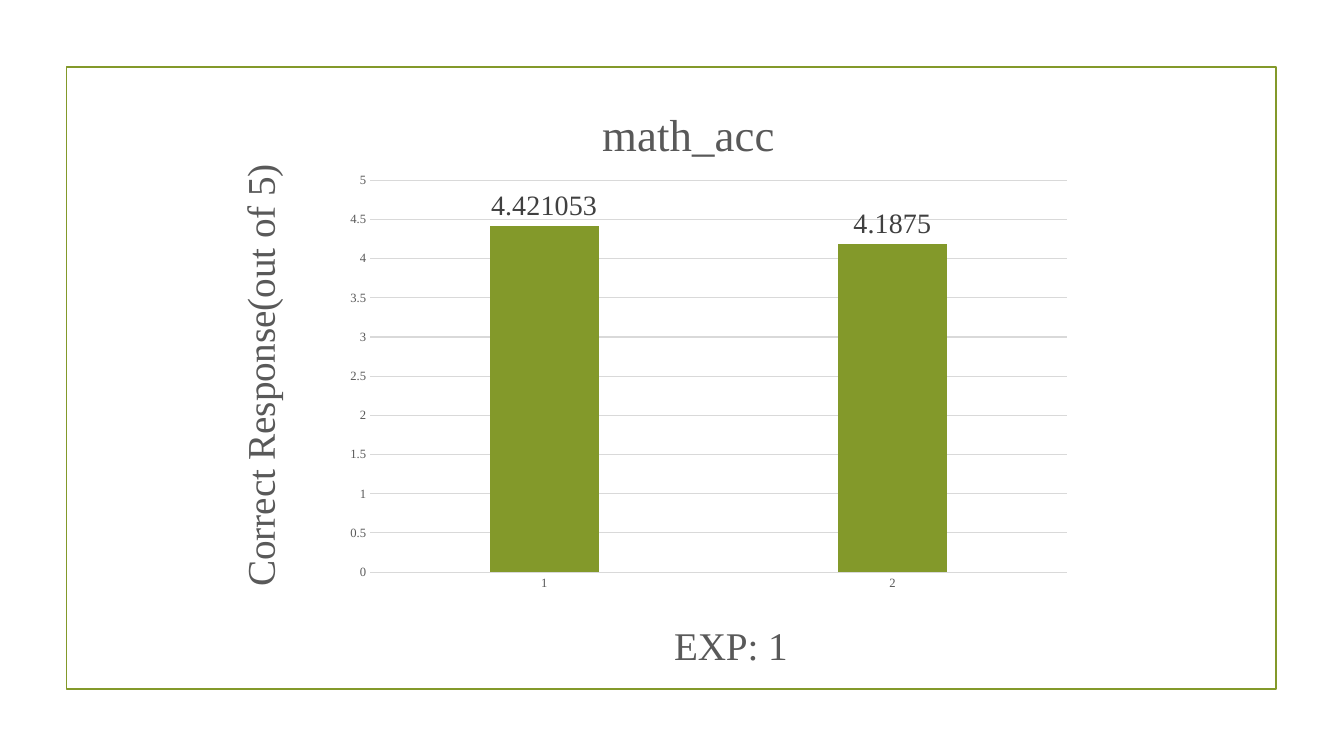
"""Build the slide with the math accuracy column chart."""
from lxml import etree
from pptx import Presentation
from pptx.chart.data import CategoryChartData
from pptx.dml.color import RGBColor
from pptx.enum import chart as kinds, shapes
from pptx.oxml import ns
from pptx.util import Pt

GREEN = RGBColor(0x83, 0x99, 0x2A)
GREY = RGBColor(0x59, 0x59, 0x59)
DARK = RGBColor(0x40, 0x40, 0x40)
PALE = RGBColor(0xD9, 0xD9, 0xD9)
BLACK = RGBColor(0, 0, 0)
FONT = "Times New Roman"


def style(font, size, color):
    for key, value in {"name": FONT, "size": Pt(size), "bold": False}.items():
        setattr(font, key, value)
    font.color.rgb = color


def place(element, index, settings):
    for old in element.findall(ns.qn("c:layout")):
        element.remove(old)
    layout = etree.Element(ns.qn("c:layout"))
    manual = etree.SubElement(layout, ns.qn("c:manualLayout"))
    for key, value in settings.items():
        etree.SubElement(manual, ns.qn(f"c:{key}")).set("val", str(value))
    element.insert(index, layout)


deck = Presentation()
deck.slide_width, deck.slide_height = Pt(960), Pt(540)
slide = deck.slides.add_slide(deck.slide_layouts[6])

frame = slide.shapes.add_shape(
    shapes.MSO_SHAPE.RECTANGLE, Pt(47.5), Pt(48), Pt(864), Pt(444.2))
frame.shadow.inherit = False
frame.fill.background()
frame.line.color.rgb = GREEN
frame.line.width = Pt(1.25)

scores = CategoryChartData()
scores.categories = ["1", "2"]
scores.add_series("Series 1", [4.421053, 4.1875])
accuracy = slide.shapes.add_chart(
    kinds.XL_CHART_TYPE.COLUMN_CLUSTERED,
    Pt(117.4), Pt(23), Pt(653), Pt(526.3), scores).chart
accuracy.has_legend = False
style(accuracy.font, 10, BLACK)
place(accuracy.element.find(".//" + ns.qn("c:plotArea")), 0, {
    "layoutTarget": "inner", "xMode": "edge", "yMode": "edge",
    "x": 0.225, "y": 0.201, "w": 0.762, "h": 0.532})

columns = accuracy.plots[0]
for key, value in {"gap_width": 219, "overlap": -27, "vary_by_categories": False}.items():
    setattr(columns, key, value)
series = columns.series[0]
series.format.fill.solid()
series.format.fill.fore_color.rgb = GREEN
labels = series.data_labels
for key, value in {"show_value": True, "number_format": "General",
                   "number_format_is_linked": False,
                   "position": kinds.XL_LABEL_POSITION.OUTSIDE_END}.items():
    setattr(labels, key, value)
style(labels.font, 20, DARK)

experiment, responses = accuracy.category_axis, accuracy.value_axis
for axis in (experiment, responses):
    axis.major_tick_mark = axis.minor_tick_mark = kinds.XL_TICK_MARK.NONE
    style(axis.tick_labels.font, 9, GREY)
for key, value in {"minimum_scale": 0, "maximum_scale": 5, "major_unit": 0.5}.items():
    setattr(responses, key, value)
responses.format.line.fill.background()
for line in (experiment.format.line, responses.major_gridlines.format.line):
    line.color.rgb = PALE
    line.width = Pt(0.75)

for title, words, size, x, y in (
        (accuracy.chart_title, "math_acc", 32, 0.47, 0.09),
        (experiment.axis_title, "EXP: 1", 28, 0.55, 0.79),
        (responses.axis_title, "Correct Response(out of 5)", 28, 0.07, 0.17)):
    title.text_frame.text = words
    style(title.text_frame.paragraphs[0].runs[0].font, size, GREY)
    place(title._element, 1, {"xMode": "edge", "yMode": "edge", "x": x, "y": y})
responses.axis_title.text_frame._txBody.bodyPr.set("rot", "-5400000")
responses.axis_title.text_frame._txBody.bodyPr.set("vert", "horz")

deck.save("out.pptx")
